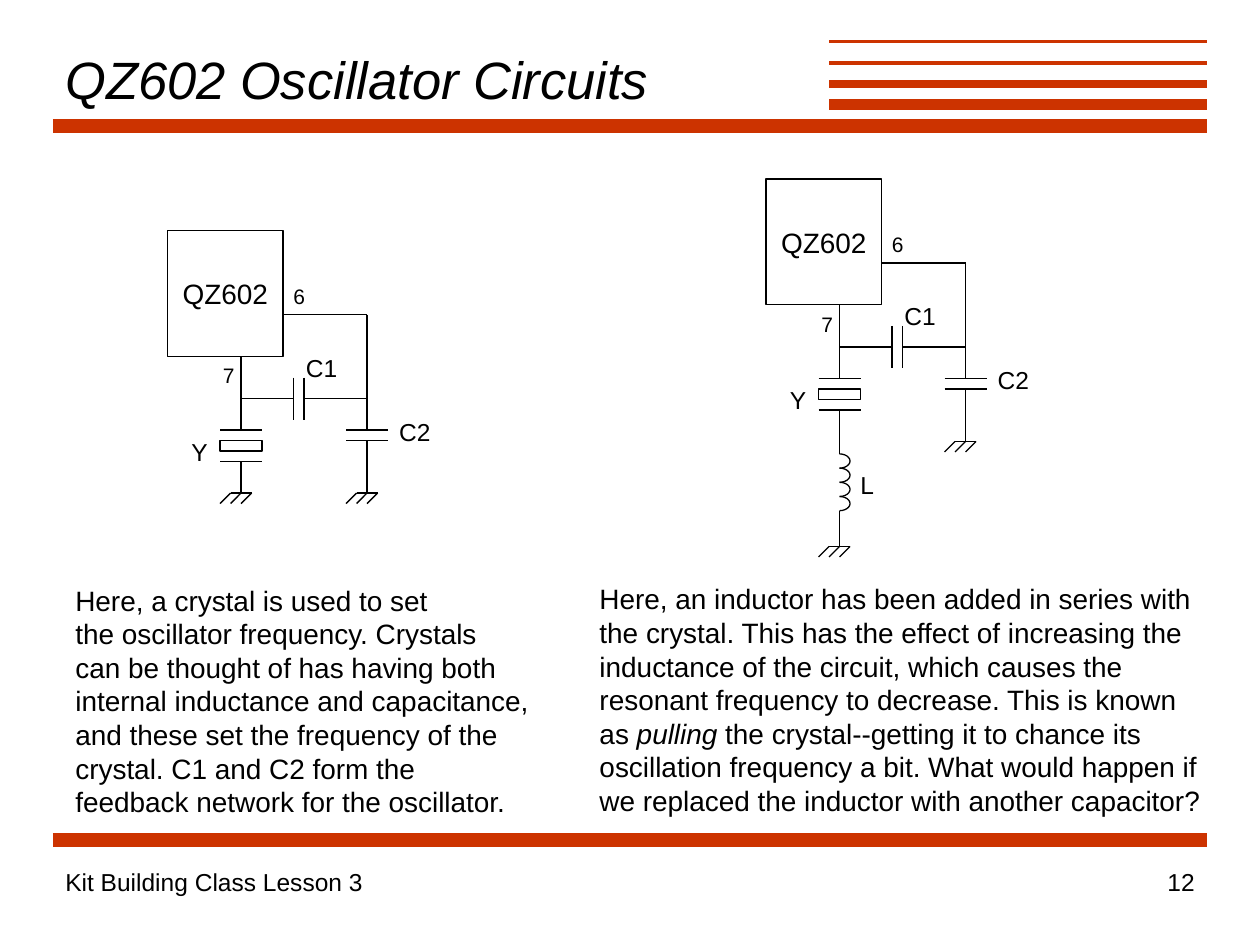
from math import cos, pi, sin

from lxml import etree
from pptx import Presentation
from pptx.dml.color import RGBColor
from pptx.enum.shapes import MSO_CONNECTOR, MSO_SHAPE
from pptx.enum.text import MSO_ANCHOR as ANCHOR, PP_ALIGN as ALIGN
from pptx.oxml.ns import qn
from pptx.util import Inches, Pt

COLORS = {"bar": "CC3300", "ink": "000000", "paper": "FFFFFF"}
FONT = "Arial"
CHIP = "QZ602"
GRID = 1 / 12  # schematic grid step in inches

# Offsets from the chip's top left corner, in inches
LABELS = [("7", 0.34, 1.0, 0.29, 12), ("6", 0.9, 0.37, 0.29, 12),
          ("Y", 0.09, 1.59, 0.33, 14), ("C1", 1.0, 0.92, 0.45, 14),
          ("C2", 1.74, 1.43, 0.45, 14)]

CRYSTAL_TEXT = [
    "Here, a crystal is used to set",
    "the oscillator frequency. Crystals",
    "can be thought of has having both",
    "internal inductance and capacitance,",
    "and these set the frequency of the",
    "crystal. C1 and C2 form the",
    "feedback network for the oscillator.",
]
INDUCTOR_TEXT = [
    "Here, an inductor has been added in series with",
    "the crystal. This has the effect of increasing the",
    "inductance of the circuit, which causes the",
    "resonant frequency to decrease. This is known",
    "as *pulling* the crystal--getting it to chance its",
    "oscillation frequency a bit. What would happen if",
    "we replaced the inductor with another capacitor?",
]


def rgb(name):
    return RGBColor.from_string(COLORS[name])


class Sheet:
    def __init__(self, slide):
        self.shapes = slide.shapes

    def line(self, x1, y1, x2, y2, color="ink", width=0.75):
        ends = [Inches(v) for v in (x1, y1, x2, y2)]
        cx = self.shapes.add_connector(MSO_CONNECTOR.STRAIGHT, *ends)
        cx.line.color.rgb = rgb(color)
        cx.line.width = Pt(width)
        etree.SubElement(cx._element.spPr, qn("a:effectLst"))

    def outline(self, sp):
        sp.shadow.inherit = False
        sp.line.color.rgb = rgb("ink")
        sp.line.width = Pt(0.75)

    def box(self, x, y, w, h, text=None):
        at = [Inches(v) for v in (x, y, w, h)]
        sp = self.shapes.add_shape(MSO_SHAPE.RECTANGLE, *at)
        self.outline(sp)
        sp.fill.solid()
        sp.fill.fore_color.rgb = rgb("paper")
        if text:
            self.fill_text(sp.text_frame, [text], 16, align=ALIGN.CENTER,
                           vertical_anchor=ANCHOR.MIDDLE)

    def curve(self, points):
        pts = [(Inches(x), Inches(y)) for x, y in points]
        builder = self.shapes.build_freeform(*pts[0])
        builder.add_line_segments(pts[1:], close=False)
        sp = builder.convert_to_shape()
        self.outline(sp)
        sp.fill.background()

    def text(self, x, y, w, h, lines, size, **fmt):
        tb = self.shapes.add_textbox(*[Inches(v) for v in (x, y, w, h)])
        self.fill_text(tb.text_frame, lines, size, **fmt)

    def fill_text(self, tf, lines, size, align=ALIGN.LEFT, italic=False,
                  **frame):
        """Fill a text frame, one paragraph a line; *stars* mark italics."""
        for name, value in {"word_wrap": False, **frame}.items():
            setattr(tf, name, value)
        for i, line in enumerate(lines):
            p = tf.paragraphs[0] if i == 0 else tf.add_paragraph()
            p.alignment = align
            for j, part in enumerate(line.split("*")):
                r = p.add_run()
                r.text = part
                style = {"name": FONT, "size": Pt(size),
                         "italic": italic or j % 2 == 1}
                for name, value in style.items():
                    setattr(r.font, name, value)
                r.font.color.rgb = rgb("ink")


class Circuit:
    """An oscillator schematic, in grid steps from the chip's corner."""

    def __init__(self, sheet, x, y):
        self.sheet, self.x, self.y = sheet, x, y

    def wire(self, *points):
        pts = [(self.x + px * GRID, self.y + py * GRID) for px, py in points]
        for start, end in zip(pts, pts[1:]):
            self.sheet.line(*start, *end)

    def box(self, x, y, w, h, text=None):
        self.sheet.box(self.x + x * GRID, self.y + y * GRID,
                       w * GRID, h * GRID, text)

    def label(self, text, dx, dy, w, size):
        self.sheet.text(self.x + dx, self.y + dy, w, 0.34, [text], size)

    def ground(self, x, y):
        self.wire((x - 1, y), (x + 1, y))
        for tip in (x + 1, x, x - 1):
            self.wire((tip, y), (tip - 1, y + 1))

    def coil(self, x, top, bottom, turns=4, steps=12):
        pitch = (bottom - top) / turns
        for turn in range(turns):
            mid = top + (turn + 0.5) * pitch
            angles = [pi * k / steps for k in range(steps + 1)]
            self.sheet.curve([(self.x + (x + sin(a)) * GRID,
                               self.y + (mid - cos(a) * pitch / 2) * GRID)
                              for a in angles])

    def draw(self, inductor=False):
        self.box(0, 0, 11, 12, CHIP)
        self.wire((7, 12), (7, 19))
        self.wire((11, 8), (19, 8), (19, 19))
        # Crystal and C2
        for left, y in ((5, 19), (5, 22), (17, 19), (17, 20)):
            self.wire((left, y), (left + 4, y))
        self.box(5, 20, 4, 1)
        # C1
        self.wire((7, 16), (12, 16))
        self.wire((13, 16), (19, 16))
        for x in (12, 13):
            self.wire((x, 14), (x, 18))
        self.wire((19, 20), (19, 25))
        self.ground(19, 25)
        if inductor:
            top, bottom, floor = 26.2, 31.6, 35
            self.wire((7, 22), (7, top))
            self.coil(7, top, bottom)
            self.wire((7, bottom), (7, floor))
            self.label("L", 0.65, 2.26, 0.31, 14)
        else:
            floor = 25
            self.wire((7, 22), (7, floor))
        self.ground(7, floor)
        for label in LABELS:
            self.label(*label)


def main():
    prs = Presentation()
    prs.slide_width, prs.slide_height = Inches(10), Inches(7.5)
    s = Sheet(prs.slides.add_slide(prs.slide_layouts[6]))

    for left, y, width in ((0.42, 1, 8), (6.58, 0.83, 6), (6.58, 0.67, 4.5),
                           (6.58, 0.5, 2.25), (6.58, 0.33, 1.5),
                           (0.42, 6.67, 8)):
        s.line(left, y, 9.58, y, "bar", width)

    s.text(0.42, 0.33, 6.17, 0.58, [f"{CHIP} Oscillator Circuits"], 30,
           italic=True, word_wrap=True, vertical_anchor=ANCHOR.MIDDLE)
    Circuit(s, 1.33, 1.83).draw()
    Circuit(s, 6.08, 1.42).draw(inductor=True)
    s.text(0.5, 4.58, 3.8, 1.97, CRYSTAL_TEXT, 16)
    s.text(4.66, 4.57, 4.97, 1.97, INDUCTOR_TEXT, 16)
    s.text(0.42, 6.83, 6.92, 0.5, ["Kit Building Class Lesson 3"], 14,
           word_wrap=True)
    s.text(7.5, 6.83, 2.08, 0.5, ["12"], 14, align=ALIGN.RIGHT, word_wrap=True)
    prs.save("out.pptx")


if __name__ == "__main__":
    main()
